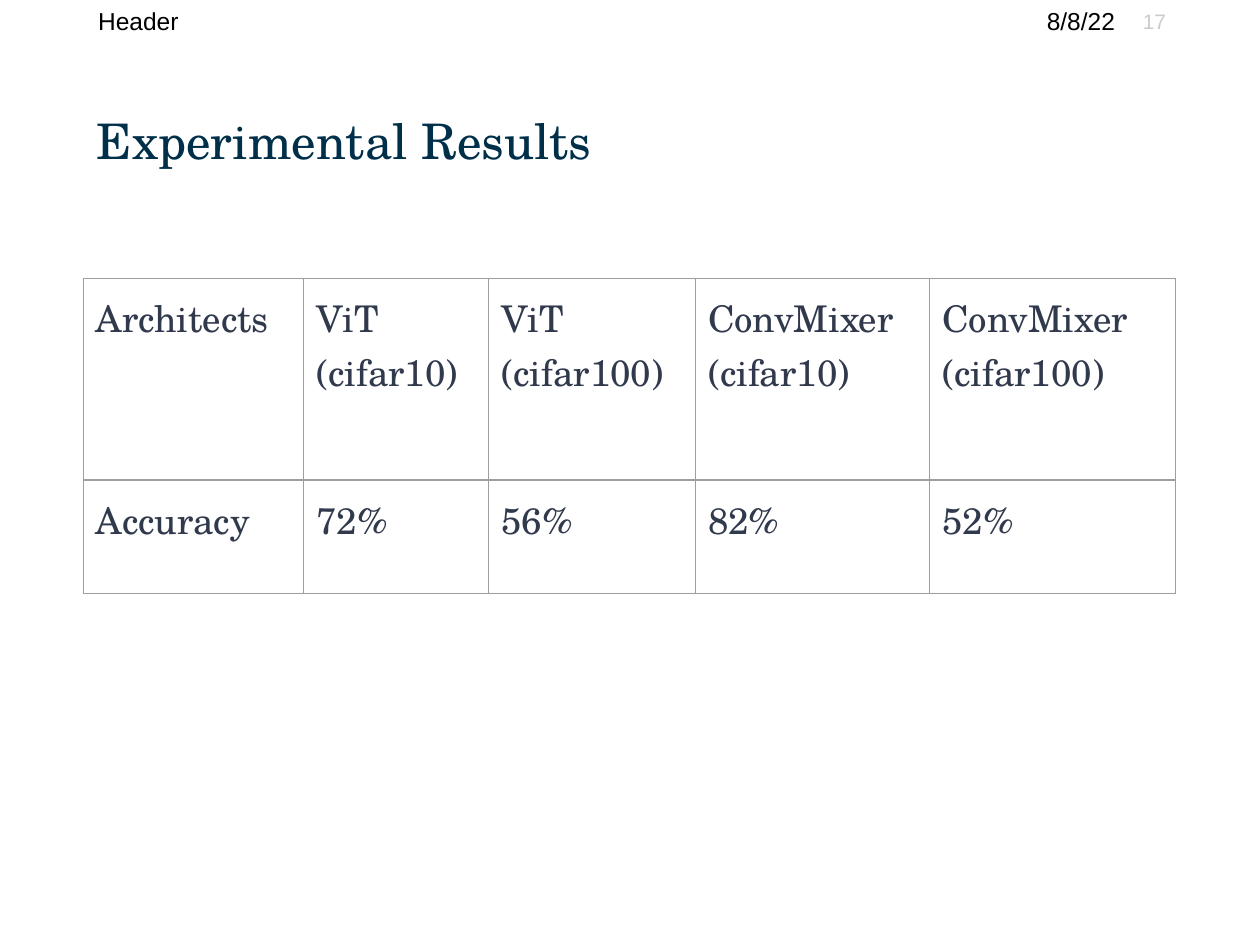
from lxml import etree
from pptx import Presentation
from pptx.dml.color import RGBColor
from pptx.enum.text import MSO_ANCHOR as Anchor, PP_ALIGN as Align
from pptx.oxml.ns import qn
from pptx.util import Inches, Pt

SERIF = "TeX Gyre Schola"
NAVY = "002F4A"
SLATE = "31394D"
GRAY = "9E9E9E"
PALE = "CCCCCC"
NO_STYLE = "{2D5ABB26-0587-4C30-8999-92F81FD0307C}"

COL_WIDTHS = [1.75, 1.47, 1.64, 1.86, 1.95]
ROW_HEIGHTS = [1.6, 0.9]
RESULTS = [
    ["Architects", "ViT\n(cifar10)", "ViT\n(cifar100)",
     "ConvMixer\n(cifar10)", "ConvMixer\n(cifar100)"],
    ["Accuracy", "72%", "56%", "82%", "52%"],
]


def rgb(color):
    return RGBColor.from_string(color)


def write(tf, text, size=14, font="Arial", color="000000", align=Align.LEFT):
    """Fill a text frame, one paragraph per line of text."""
    for i, line in enumerate(text.split("\n")):
        p = tf.add_paragraph() if i else tf.paragraphs[0]
        p.alignment = align
        r = p.add_run()
        r.text = line
        r.font.size = Pt(size)
        r.font.name = font
        r.font.color.rgb = rgb(color)


def add_text(s, text, left, top, width, height, inset=0.1,
             anchor=Anchor.MIDDLE, **fmt):
    sp = s.shapes.add_textbox(Inches(left), Inches(top), Inches(width), Inches(height))
    tf = sp.text_frame
    tf.word_wrap = True
    tf.vertical_anchor = anchor
    tf.margin_left = tf.margin_right = Inches(inset)
    write(tf, text, **fmt)


def set_borders(cell, color, width):
    tc_pr = cell._tc.get_or_add_tcPr()
    for i, side in enumerate(("a:lnL", "a:lnR", "a:lnT", "a:lnB")):
        ln = etree.Element(qn(side), w=str(Pt(width)))
        fill = etree.SubElement(ln, qn("a:solidFill"))
        etree.SubElement(fill, qn("a:srgbClr"), val=color)
        tc_pr.insert(i, ln)


def add_results_table(s, left, top):
    frame = s.shapes.add_table(
        len(ROW_HEIGHTS), len(COL_WIDTHS), Inches(left), Inches(top),
        Inches(sum(COL_WIDTHS)), Inches(sum(ROW_HEIGHTS)))
    table = frame.table
    table.first_row = table.horz_banding = False
    table._tbl.tblPr.find(qn("a:tableStyleId")).text = NO_STYLE
    for col, width in zip(table.columns, COL_WIDTHS):
        col.width = Inches(width)
    for row, height, texts in zip(table.rows, ROW_HEIGHTS, RESULTS):
        row.height = Inches(height)
        for cell, text in zip(row.cells, texts):
            cell.margin_left = cell.margin_right = Inches(0.1)
            cell.margin_top = cell.margin_bottom = Inches(0.1)
            cell.fill.background()
            set_borders(cell, GRAY, 0.75)
            write(cell.text_frame, text, size=21, font=SERIF, color=SLATE)


def main():
    prs = Presentation()
    prs.slide_width, prs.slide_height = Inches(10), Inches(7.5)
    s = prs.slides.add_slide(prs.slide_layouts[6])
    add_text(s, "Experimental Results", 0.67, 0.83, 8.67, 0.75,
             anchor=Anchor.TOP, size=28, font=SERIF, color=NAVY)
    add_text(s, "Header", 0.68, 0, 5.58, 0.33)
    add_text(s, "8/8/22", 7.68, 0, 1.17, 0.33, inset=0, align=Align.RIGHT)
    add_text(s, "17", 9.07, 0, 0.93, 0.33, inset=0, size=12, color=PALE)
    add_results_table(s, 0.66, 2.21)
    prs.save("out.pptx")


if __name__ == "__main__":
    main()
